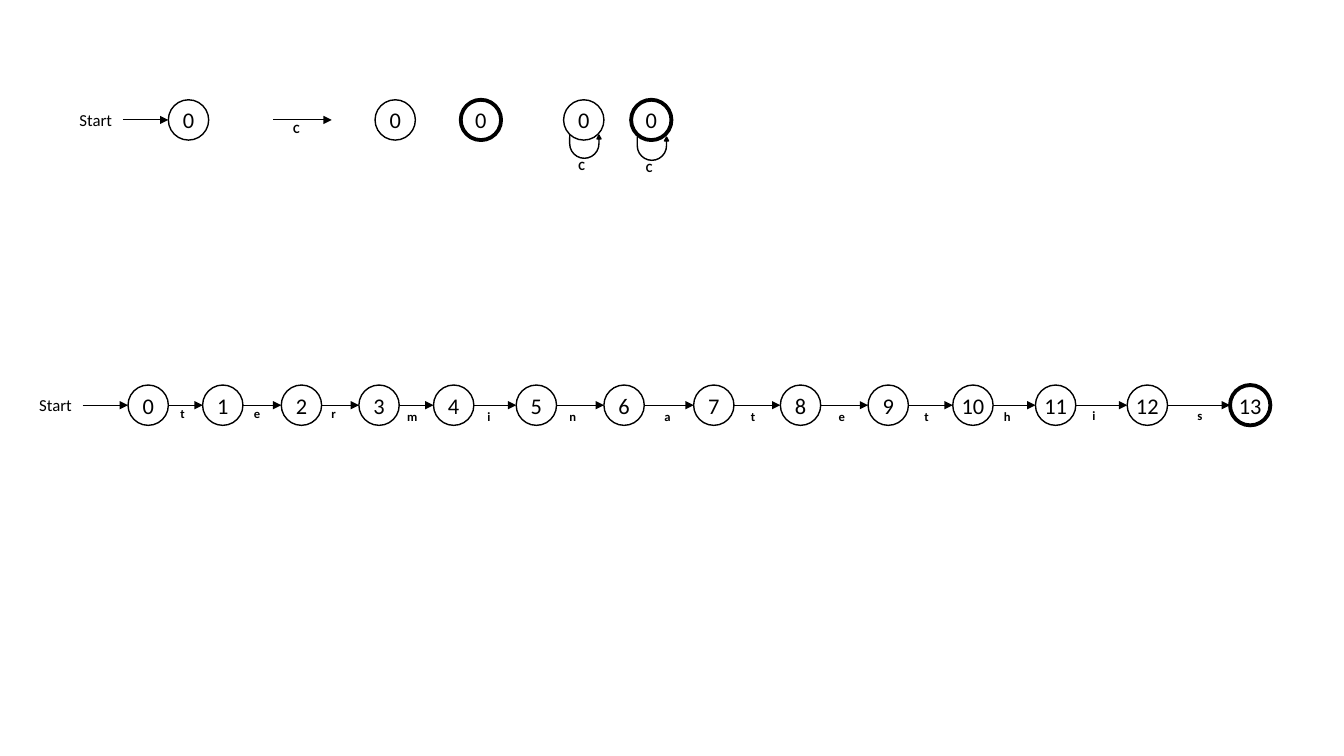
"""Draw the finite automaton notation and the automaton that accepts 'terminatethis'."""
from dataclasses import dataclass

import pptx
import pptx.dml.color
import pptx.enum.shapes
import pptx.enum.text
import pptx.oxml
import pptx.oxml.ns
import pptx.util
from pptx.util import Inches


@dataclass(frozen=True)
class Theme:
    """Colours, type sizes and line widths in points."""
    ink: pptx.dml.color.RGBColor = pptx.dml.color.RGBColor(0, 0, 0)
    font: str = "Calibri"
    state_size: float = 16
    start_size: float = 12
    symbol_size: float = 9
    arrow_line: float = 0.75
    state_line: float = 1
    accepting_line: float = 2.75


THEME = Theme()
DIAMETER = 0.4
START_ARROW = 0.45
SYMBOL_WIDTH, SYMBOL_HEIGHT = 0.16, 0.25

NOTATION = (0.69, 0.99)
AUTOMATON = (0.28, 3.82)
STATE_LEFTS = [1.27, 2.01, 2.79, 3.56, 4.3, 5.12, 5.99,
               6.88, 7.74, 8.61, 9.45, 10.27, 11.18, 12.2]
TRANSITIONS = [("t", 1.73, 0.16), ("e", 2.47, 0.16), ("r", 3.23, 0.16),
               ("m", 4.01, 0.19), ("i", 4.77, 0.19), ("n", 5.6, 0.19),
               ("a", 6.54, 0.19), ("t", 7.39, 0.19), ("e", 8.27, 0.19),
               ("t", 9.11, 0.19), ("h", 9.91, 0.19), ("i", 10.77, 0.18),
               ("s", 11.82, 0.18)]


def write(frame, text, size, bold=False, centred=True):
    """Write one paragraph in the theme font."""
    frame.text = text
    paragraph = frame.paragraphs[0]
    paragraph.font.name = THEME.font
    paragraph.font.size = pptx.util.Pt(size)
    paragraph.font.bold = bold
    paragraph.font.color.rgb = THEME.ink
    if centred:
        paragraph.alignment = pptx.enum.text.PP_ALIGN.CENTER
        frame.margin_left = frame.margin_right = 0


def add_state(slide, left, top, name, accepting=False):
    """Add a numbered state circle, heavy when it accepts."""
    state = slide.shapes.add_shape(
        pptx.enum.shapes.MSO_SHAPE.OVAL,
        Inches(left), Inches(top), Inches(DIAMETER), Inches(DIAMETER))
    state.shadow.inherit = False
    state.fill.background()
    state.line.color.rgb = THEME.ink
    state.line.width = pptx.util.Pt(THEME.accepting_line if accepting else THEME.state_line)
    frame = state.text_frame
    frame.margin_top = frame.margin_bottom = 0
    frame.word_wrap = False
    frame.vertical_anchor = pptx.enum.text.MSO_ANCHOR.MIDDLE
    write(frame, name, THEME.state_size)


def add_arrow(slide, start, end, middle):
    """Add a horizontal arrow at the given height."""
    arrow = slide.shapes.add_connector(
        pptx.enum.shapes.MSO_CONNECTOR.STRAIGHT,
        Inches(start), Inches(middle), Inches(end), Inches(middle))
    arrow.line.color.rgb = THEME.ink
    arrow.line.width = pptx.util.Pt(THEME.arrow_line)
    head = pptx.oxml.parse_xml(
        f'<a:tailEnd {pptx.oxml.ns.nsdecls("a")} type="triangle"/>')
    arrow.line._get_or_add_ln().append(head)
    arrow._element.spPr.append(
        pptx.oxml.parse_xml(f'<a:effectLst {pptx.oxml.ns.nsdecls("a")}/>'))


def add_symbol(slide, left, top, symbol):
    """Add the bold input symbol of a transition."""
    label = slide.shapes.add_textbox(
        Inches(left), Inches(top), Inches(SYMBOL_WIDTH), Inches(SYMBOL_HEIGHT))
    label.text_frame.word_wrap = True
    write(label.text_frame, symbol, THEME.symbol_size, bold=True)


def add_start(slide, left, top):
    """Add the start label and its arrow, ending at the given state box."""
    label = slide.shapes.add_textbox(
        Inches(left - 0.98), Inches(top + 0.05), Inches(0.53), Inches(0.3))
    label.text_frame.word_wrap = False
    write(label.text_frame, "Start", THEME.start_size, centred=False)
    add_arrow(slide, left - START_ARROW, left, top + DIAMETER / 2)


def add_looping_state(slide, left, top, loop_drop, accepting=False):
    """Add a state with a transition back to itself."""
    add_state(slide, left, top, "0", accepting)
    loop = slide.shapes.add_shape(
        pptx.enum.shapes.MSO_SHAPE.U_TURN_ARROW,
        Inches(left + 0.06), Inches(top + loop_drop), Inches(0.31), Inches(0.23))
    for index, value in enumerate((0, 0.085, 0.164, 0.717, 1)):
        loop.adjustments[index] = value
    loop.rotation = 180
    loop._element.spPr.xfrm.set("flipH", "1")
    loop.shadow.inherit = False
    loop.fill.solid()
    loop.fill.fore_color.rgb = THEME.ink
    loop.line.color.rgb = THEME.ink
    loop.line.width = pptx.util.Pt(THEME.state_line)
    add_symbol(slide, left + 0.1, top + loop_drop + 0.175, "C")


def add_notation(slide, left, top):
    """Lay out one sample of each part of the notation."""
    add_start(slide, left + 0.98, top)
    add_state(slide, left + 0.98, top, "0")
    add_arrow(slide, left + 2.02, left + 2.6, top + DIAMETER / 2)
    add_symbol(slide, left + 2.17, top + 0.16, "C")
    add_state(slide, left + 3.03, top, "0")
    add_state(slide, left + 3.88, top, "0", accepting=True)
    add_looping_state(slide, left + 4.9, top, 0.35)
    add_looping_state(slide, left + 5.57, top, 0.37, accepting=True)


def add_automaton(slide, left, top):
    """Lay out the chain of states joined by their transitions."""
    shift = left - AUTOMATON[0]
    lefts = [state_left + shift for state_left in STATE_LEFTS]
    add_start(slide, lefts[0], top)
    for number, state_left in enumerate(lefts):
        add_state(slide, state_left, top, str(number), number == len(lefts) - 1)
    for source, target, (symbol, symbol_left, drop) in zip(lefts, lefts[1:], TRANSITIONS):
        add_arrow(slide, source + DIAMETER, target, top + DIAMETER / 2)
        add_symbol(slide, symbol_left + shift, top + drop, symbol)


def main():
    """Build and save the slide."""
    deck = pptx.Presentation()
    deck.slide_width, deck.slide_height = Inches(13.33), Inches(7.5)
    slide = deck.slides.add_slide(deck.slide_layouts[6])
    add_notation(slide, *NOTATION)
    add_automaton(slide, *AUTOMATON)
    deck.save("out.pptx")


if __name__ == "__main__":
    main()
